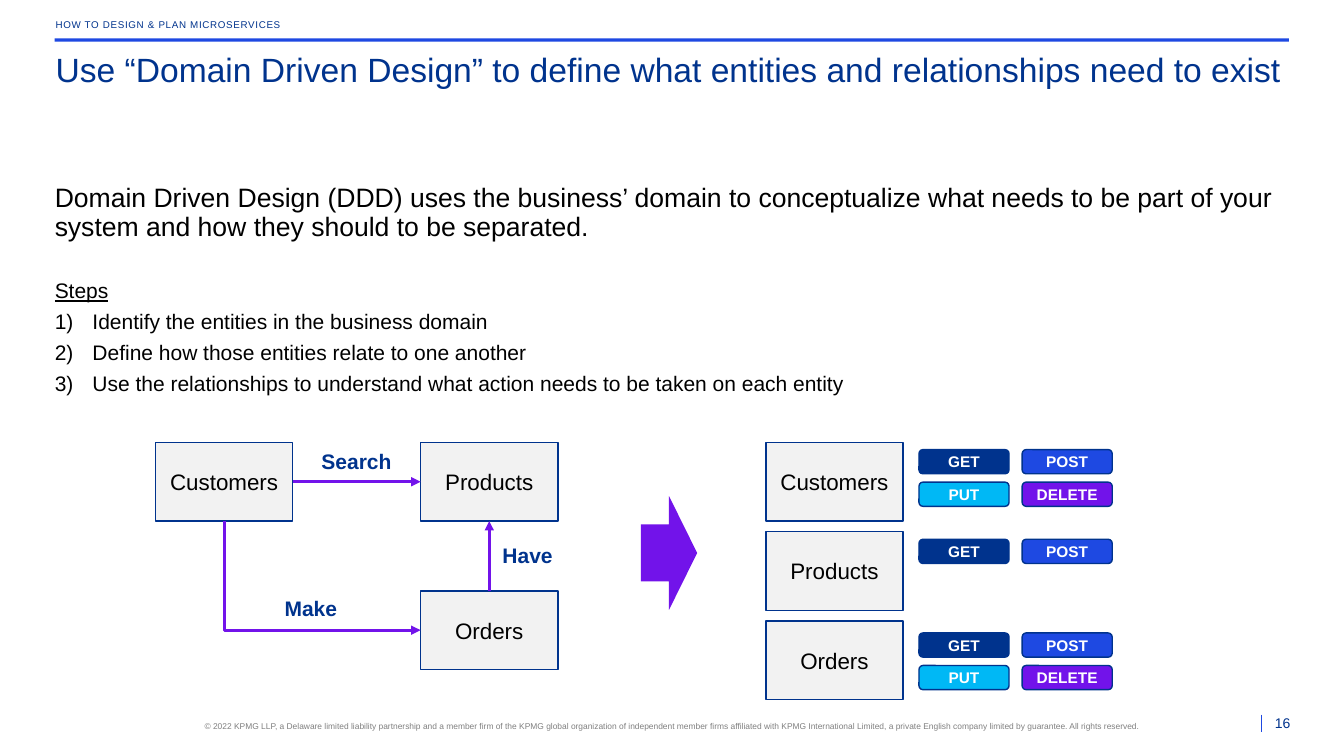
from pptx import Presentation
from pptx.dml.color import RGBColor
from pptx.enum.shapes import MSO_CONNECTOR, MSO_SHAPE
from pptx.enum.text import MSO_ANCHOR, MSO_AUTO_SIZE, PP_ALIGN
from pptx.oxml.ns import qn
from pptx.util import Cm, Pt
from lxml.etree import SubElement

NAVY = RGBColor(0x00, 0x33, 0x8D)
BLUE = RGBColor(0x1E, 0x49, 0xE2)
CYAN = RGBColor(0x00, 0xB8, 0xF5)
PURPLE = RGBColor(0x72, 0x13, 0xEA)
PALE = RGBColor(0xF2, 0xF2, 0xF2)
GREY = RGBColor(0x80, 0x80, 0x80)
BLACK = RGBColor(0x00, 0x00, 0x00)
WHITE = RGBColor(0xFF, 0xFF, 0xFF)

BADGES = [("GET", NAVY), ("POST", BLUE), ("PUT", CYAN), ("DELETE", PURPLE)]
STEPS = [
    "Identify the entities in the business domain",
    "Define how those entities relate to one another",
    "Use the relationships to understand what action needs to be taken on each entity",
]


def write(paragraph, text, size, color=BLACK, bold=False, underline=False,
          align=PP_ALIGN.LEFT, spacing=None, before=0, after=0, tracking=None, numbered=False):
    properties = paragraph._p.get_or_add_pPr()
    indent = Cm(0.95) if numbered else 0
    properties.set("marL", str(indent))
    properties.set("indent", str(-indent))
    if numbered:
        SubElement(properties, qn("a:buFont"), typeface="+mj-lt")
        SubElement(properties, qn("a:buAutoNum"), type="arabicParenR")
    else:
        SubElement(properties, qn("a:buNone"))
    paragraph.alignment = align
    paragraph.space_before, paragraph.space_after = Pt(before), Pt(after)
    if spacing:
        paragraph.line_spacing = spacing
    run = paragraph.add_run()
    run.text = text
    run.font.name, run.font.size = "Arial", Pt(size)
    run.font.bold, run.font.underline = bold, underline
    run.font.color.rgb = color
    if tracking:
        run.font._element.set("spc", str(tracking))


class SlideBuilder:
    def __init__(self, slide):
        self.slide = slide

    def frame(self, shape, anchor=MSO_ANCHOR.TOP, inset=0, wrap=True):
        frame = shape.text_frame
        frame.auto_size = MSO_AUTO_SIZE.NONE
        frame.word_wrap = wrap
        frame.vertical_anchor = anchor
        frame.margin_left = frame.margin_right = Cm(inset)
        frame.margin_top = frame.margin_bottom = Cm(inset)
        return frame

    def placeholder(self, index, left, top, width, height, anchor=MSO_ANCHOR.TOP):
        shape = self.slide.placeholders[index]
        shape.left, shape.top = Cm(left), Cm(top)
        shape.width, shape.height = Cm(width), Cm(height)
        return self.frame(shape, anchor)

    def text(self, text, left, top, width, height, anchor=MSO_ANCHOR.TOP, wrap=True, **style):
        shape = self.slide.shapes.add_textbox(Cm(left), Cm(top), Cm(width), Cm(height))
        write(self.frame(shape, anchor, wrap=wrap).paragraphs[0], text, **style)

    def shape(self, kind, left, top, width, height, fill, outline=None):
        shape = self.slide.shapes.add_shape(kind, Cm(left), Cm(top), Cm(width), Cm(height))
        shape.shadow.inherit = False
        shape.fill.solid()
        shape.fill.fore_color.rgb = fill
        if outline:
            shape.line.color.rgb = outline
            shape.line.width = Pt(1)
        else:
            shape.line.fill.background()
        return shape

    def entity(self, name, left, top):
        shape = self.shape(MSO_SHAPE.RECTANGLE, left, top, 3.46, 1.98, PALE, NAVY)
        paragraph = self.frame(shape, MSO_ANCHOR.MIDDLE, 0.15).paragraphs[0]
        write(paragraph, name, 16, align=PP_ALIGN.CENTER)
        return shape

    def badge(self, name, fill, left, top):
        shape = self.shape(MSO_SHAPE.ROUNDED_RECTANGLE, left, top, 2.27, 0.61, fill, NAVY)
        paragraph = self.frame(shape, MSO_ANCHOR.MIDDLE, 0.15).paragraphs[0]
        write(paragraph, name, 11, WHITE, bold=True, align=PP_ALIGN.CENTER)

    def label(self, text, left, top):
        self.text(text, left, top, 1.45, 0.99, wrap=False, size=15, color=NAVY,
                  bold=True, align=PP_ALIGN.CENTER, after=6)

    def line(self, kind, start, end, color, width):
        connector = self.slide.shapes.add_connector(kind, *start, *end)
        connector.line.color.rgb = color
        connector.line.width = Pt(width)
        SubElement(connector._element.spPr, qn("a:effectLst"))
        return connector

    def relation(self, source, source_side, target, target_side, kind=MSO_CONNECTOR.STRAIGHT):
        connector = self.line(kind, (0, 0), (0, 0), PURPLE, 2.25)
        connector.begin_connect(source, source_side)
        connector.end_connect(target, target_side)
        SubElement(connector.line._get_or_add_ln(), qn("a:tailEnd"), type="triangle")
        return connector

    def corner_relation(self, source, target):
        connector = self.relation(source, 2, target, 1, MSO_CONNECTOR.ELBOW)
        across, down = connector.width, connector.height
        connector.left += (across - down) // 2
        connector.top += (down - across) // 2
        connector.width, connector.height = down, across
        properties = connector._element.spPr
        properties.find(qn("a:prstGeom")).set("prst", "bentConnector2")
        transform = properties.find(qn("a:xfrm"))
        transform.set("rot", "16200000")
        transform.set("flipH", "1")


def main():
    presentation = Presentation()
    presentation.slide_width, presentation.slide_height = Cm(33.87), Cm(19.05)
    slide = presentation.slides.add_slide(presentation.slide_layouts[3])
    builder = SlideBuilder(slide)

    title = builder.placeholder(0, 1.4, 1.22, 31.1, 1.96)
    write(title.paragraphs[0], "Use “Domain Driven Design” to define what entities and "
          "relationships need to exist", 24, NAVY)

    body = builder.placeholder(1, 1.38, 4.65, 31.12, 5.64)
    write(body.paragraphs[0], "Domain Driven Design (DDD) uses the business’ domain to "
          "conceptualize what needs to be part of your system and how they should to be "
          "separated.", 19, spacing=0.9, after=6)
    write(body.add_paragraph(), "Steps", 15, underline=True, spacing=0.9, before=21.5, after=6)
    for step in STEPS:
        write(body.add_paragraph(), step, 15, spacing=0.9, after=6, numbered=True)

    section = builder.placeholder(2, 1.4, 0.46, 31.1, 0.33, MSO_ANCHOR.BOTTOM)
    section.margin_bottom = Cm(0.03)
    write(section.paragraphs[0], "HOW TO DESIGN & PLAN MICROSERVICES", 7, NAVY,
          spacing=Pt(7.7), after=6, tracking=50)
    builder.shape(MSO_SHAPE.RECTANGLE, 1.38, 0.97, 31.1, 0.08, BLUE)

    customers = builder.entity("Customers", 3.92, 11.15)
    products = builder.entity("Products", 10.6, 11.15)
    orders = builder.entity("Orders", 10.6, 14.89)
    builder.relation(customers, 3, products, 1)
    builder.relation(orders, 0, products, 2)
    builder.corner_relation(customers, orders)
    builder.label("Search", 8.26, 11.3)
    builder.label("Make", 7.11, 15.01)
    builder.label("Have", 12.57, 13.67)

    builder.shape(MSO_SHAPE.RIGHT_ARROW, 16.15, 12.5, 1.42, 2.87, PURPLE)

    endpoints = [("Customers", 11.33, 4), ("Products", 13.59, 2), ("Orders", 15.95, 4)]
    for position, (name, badge_top, count) in enumerate(endpoints):
        builder.entity(name, 19.3, 11.15 + 2.25 * position)
        for index, (action, fill) in enumerate(BADGES[:count]):
            row, column = divmod(index, 2)
            builder.badge(action, fill, 23.16 + 2.6 * column, badge_top + 0.82 * row)

    builder.text("© 2022 KPMG LLP, a Delaware limited liability partnership and a member firm "
                 "of the KPMG global organization of independent member firms affiliated with "
                 "KPMG International Limited, a private English company limited by guarantee. "
                 "All rights reserved.", 5.08, 18.16, 23.7, 0.25,
                 size=6, color=GREY, align=PP_ALIGN.CENTER)
    builder.line(MSO_CONNECTOR.STRAIGHT, (Cm(31.78), Cm(18.01)), (Cm(31.78), Cm(18.44)), BLUE, 0.5)
    builder.text("16", 31.83, 18.01, 0.69, 0.41, MSO_ANCHOR.BOTTOM,
                 size=10, color=NAVY, align=PP_ALIGN.RIGHT)

    presentation.save("out.pptx")


if __name__ == "__main__":
    main()
